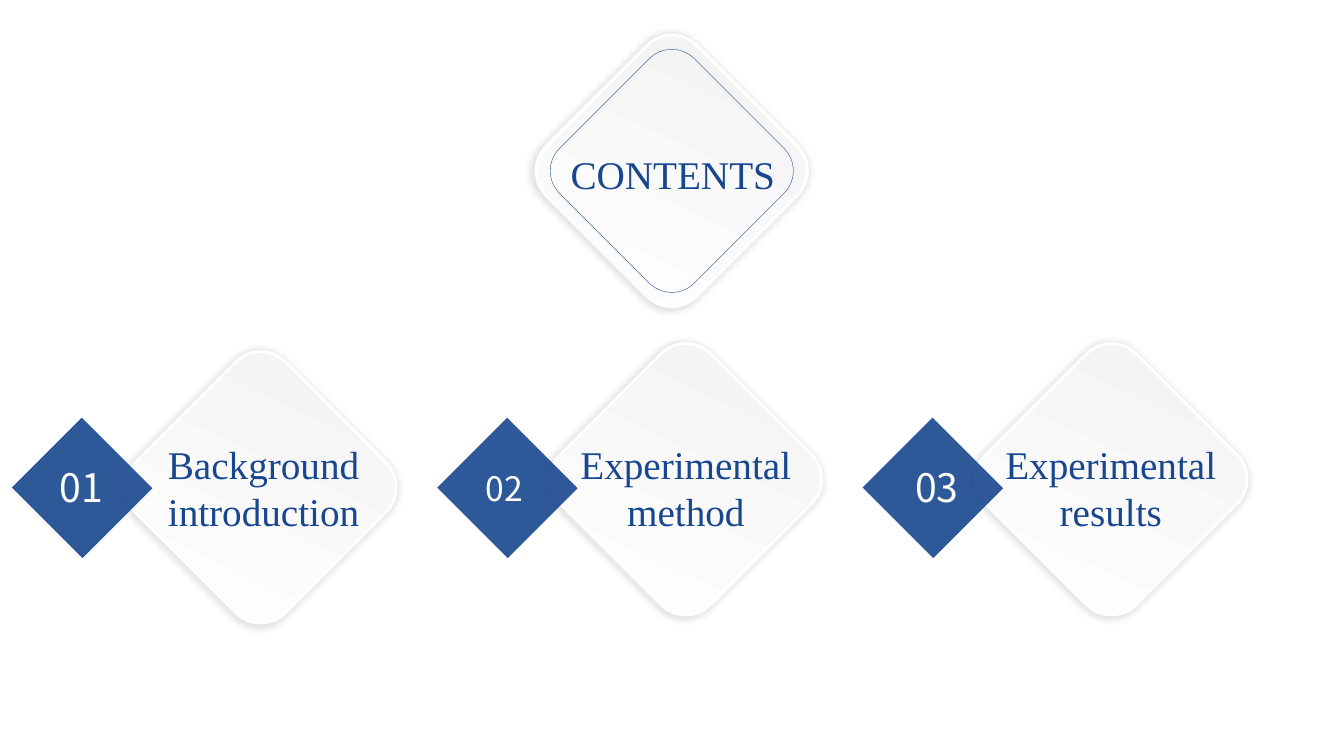
import pptx
import pptx.dml.color
import pptx.enum.dml
import pptx.enum.shapes
import pptx.enum.text
import pptx.oxml
import pptx.oxml.ns
import pptx.util

Pt = pptx.util.Pt
SHAPES = pptx.enum.shapes.MSO_SHAPE
ALIGN = pptx.enum.text.PP_ALIGN
COLOURS = {"blue": "18478F", "white": "FFFFFF", "grey": "F2F2F2", "shadow": "000000"}
LATIN, NUMERAL = "Times New Roman", "Noto Sans CJK SC"
NAMESPACE = pptx.oxml.ns.nsdecls("a")

TILE_SIZE = 151.9
COLUMN_LEFT, COLUMN_PITCH = 23, 303.85

# number, number size, number left, top and width, tile top, label, label left and width
SECTIONS = [
    ("01", 28, 35.3, 327.6, 59, 272.2, "Background introduction", 90.7, 195.1),
    ("02", 24, 339.8, 330.5, 55.4, 266.4, "Experimental method", 386.6, 206.6),
    ("03", 28, 646.6, 327.6, 61.9, 266.4, "Experimental results", 690.5, 205.9),
]


def colour(name):
    return pptx.dml.color.RGBColor.from_string(COLOURS[name])


def add_soft_shadow(shape):
    shape.shadow.inherit = False
    effects = shape._element.spPr.find(pptx.oxml.ns.qn("a:effectLst"))
    effects.append(pptx.oxml.parse_xml(
        f'<a:outerShdw {NAMESPACE} blurRad="{Pt(5)}" sx="102000" sy="102000" '
        f'algn="ctr" rotWithShape="0"><a:srgbClr val="{COLOURS["shadow"]}">'
        '<a:alpha val="11000"/></a:srgbClr></a:outerShdw>'))


def add_rounded_diamond(page, left, top, size, line_name, line_width):
    shape = page.shapes.add_shape(
        SHAPES.ROUNDED_RECTANGLE, Pt(left), Pt(top), Pt(size), Pt(size))
    shape.rotation = 45
    shape.line.color.rgb = colour(line_name)
    shape.line.width = Pt(line_width)
    add_soft_shadow(shape)
    return shape


def add_tile(page, left, top):
    tile = add_rounded_diamond(page, left, top, TILE_SIZE, "white", 2)
    tile.fill.gradient()
    tile.fill.gradient_angle = 110
    for stop, name in zip(tile.fill.gradient_stops, ("white", "grey")):
        stop.color.rgb = colour(name)


def add_outline(page, left, top, size):
    outline = add_rounded_diamond(page, left, top, size, "blue", 0.25)
    outline.fill.background()


def add_number_diamond(page, left, top):
    diamond = page.shapes.add_shape(
        SHAPES.RECTANGLE, Pt(left), Pt(top), Pt(71.3), Pt(70.6))
    diamond.rotation = 225
    diamond.shadow.inherit = False
    diamond.line.fill.background()
    diamond.fill.solid()
    diamond.fill.fore_color.rgb = colour("blue")
    # Slight transparency
    fill_colour = diamond._element.spPr.find(".//" + pptx.oxml.ns.qn("a:srgbClr"))
    fill_colour.append(pptx.oxml.parse_xml(f'<a:alpha {NAMESPACE} val="90000"/>'))


def add_text(page, text, left, top, width, height, size, font, colour_name, align):
    box = page.shapes.add_textbox(Pt(left), Pt(top), Pt(width), Pt(height))
    box.text_frame.word_wrap = True
    para = box.text_frame.paragraphs[0]
    para.text = text
    para.alignment = align
    para.font.size = Pt(size)
    para.font.name = font
    para.font.color.rgb = colour(colour_name)
    if font == NUMERAL:
        para.font._element.append(pptx.oxml.parse_xml(
            f'<a:ea {NAMESPACE} typeface="{font}"/>'))


def add_section(page, column, section):
    (number, number_size, number_left, number_top, number_width,
     tile_top, label, label_left, label_width) = section
    left = COLUMN_LEFT + column * COLUMN_PITCH
    add_tile(page, left + 87.15, tile_top)
    add_number_diamond(page, left, 313.2)
    add_text(page, number, number_left, number_top, number_width, 41,
             number_size, NUMERAL, "white", ALIGN.LEFT)
    add_text(page, label, label_left, 311, label_width, 74.9,
             28, LATIN, "blue", ALIGN.CENTER)


def main():
    deck = pptx.Presentation()
    deck.slide_width, deck.slide_height = Pt(960), Pt(540)
    page = deck.slides.add_slide(deck.slide_layouts[6])

    # Heading
    add_tile(page, 403.9, 46.1)
    add_outline(page, 411.8, 54, 136.1)
    add_text(page, "CONTENTS", 390.2, 103.7, 180.7, 41, 28, LATIN, "blue", ALIGN.CENTER)

    # Sections
    for column, section in enumerate(SECTIONS):
        add_section(page, column, section)

    deck.save("out.pptx")


if __name__ == "__main__":
    main()
